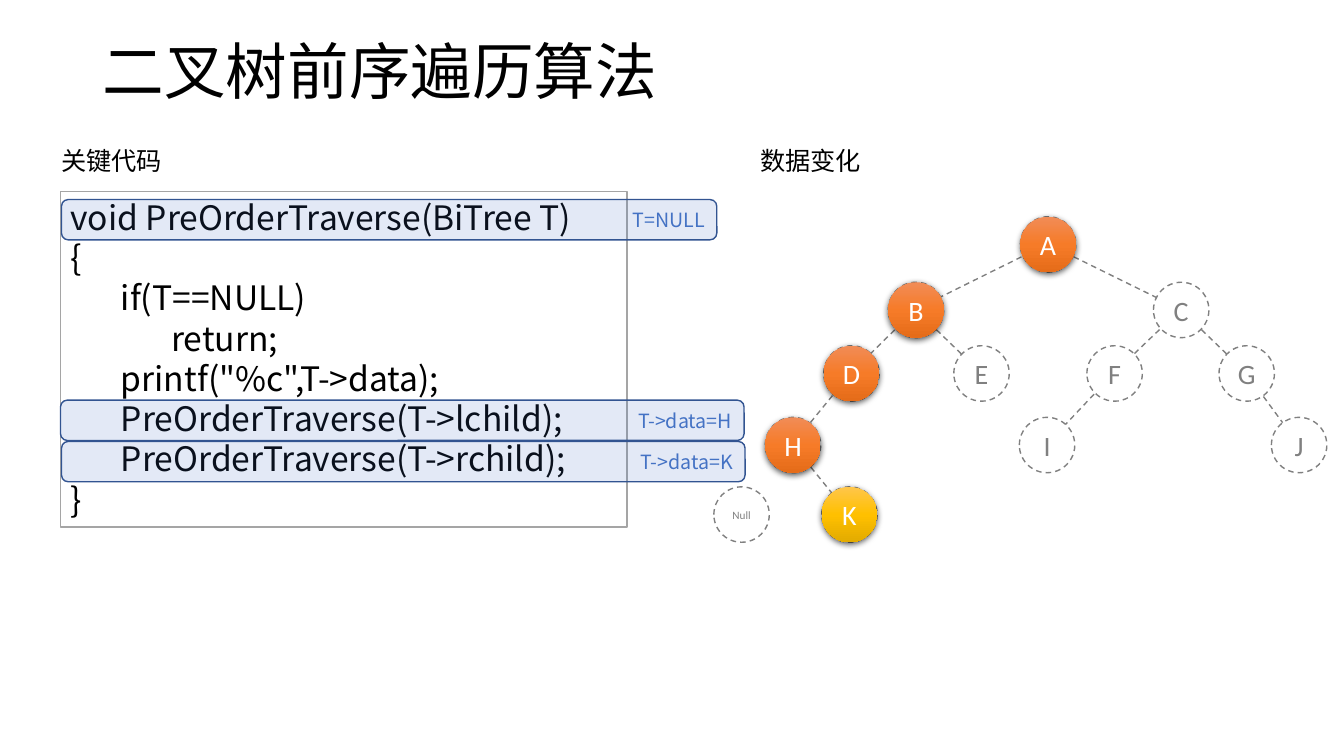
from dataclasses import dataclass

import pptx
import pptx.dml.color
import pptx.enum.dml
import pptx.enum.shapes
import pptx.enum.text
import pptx.oxml
import pptx.oxml.ns
import pptx.util

PX = 9144  # one px is a hundredth of an inch
DIAMETER = 55
CJK, LATIN = "Noto Sans CJK SC", "Calibri"
COLORS = {
    "black": "000000",
    "white": "FFFFFF",
    "gray": "808080",
    "frame": "A5A5A5",
    "blue": "4472C4",
    "navy": "325491",
}
GRADIENTS = {
    "orange": ("F18C57", "F67B28", "E56C19"),
    "gold": ("FFC64B", "FFC000", "E3AB00"),
}
CODE = """void PreOrderTraverse(BiTree T)
{
\tif(T==NULL)
\t\treturn;
\tprintf("%c",T->data);
\tPreOrderTraverse(T->lchild);
\tPreOrderTraverse(T->rchild);
}"""

Shape = pptx.enum.shapes.MSO_SHAPE
Align = pptx.enum.text.PP_ALIGN
Anchor = pptx.enum.text.MSO_ANCHOR
AutoSize = pptx.enum.text.MSO_AUTO_SIZE


@dataclass
class Node:
    label: str
    cx: int
    cy: int
    parent: str = ""
    gradient: str = ""
    size: int = 20


@dataclass
class Highlight:
    text: str
    x: int
    y: int
    w: int


@dataclass
class Label:
    text: str
    x: int
    y: int
    w: int
    h: int
    size: int
    wrap: bool = False
    spacing: float = 1.0


NODES = [
    Node("A", 1039, 242, gradient="orange"),
    Node("B", 908, 307, "A", "orange"),
    Node("C", 1171, 307, "A"),
    Node("D", 844, 370, "B", "orange"),
    Node("E", 973, 370, "B"),
    Node("F", 1105, 370, "C"),
    Node("G", 1236, 370, "C"),
    Node("H", 786, 441, "D", "orange"),
    Node("I", 1038, 441, "F"),
    Node("J", 1288, 441, "G"),
    Node("Null", 735, 510, size=8),
    Node("K", 842, 510, "H", "gold"),
]
HIGHLIGHTS = [
    Highlight("T=NULL", 61, 198, 650),
    Highlight("T->data=H", 60, 397, 678),
    Highlight("T->data=K", 61, 438, 678),
]
LABELS = [
    Label("二叉树前序遍历算法", 92, 1, 1150, 145, 44, True, 0.9),
    Label("关键代码", 51, 139, 125, 40, 18),
    Label("数据变化", 744, 139, 121, 40, 18),
]


def emu(*px: int) -> list[int]:
    return [n * PX for n in px]


def rgb(name: str) -> pptx.dml.color.RGBColor:
    return pptx.dml.color.RGBColor.from_string(COLORS[name])


def add_xml(parent, xml: str) -> None:
    head, tail = xml.split(">", 1)
    ns = pptx.oxml.ns.nsdecls("a")
    if head.endswith("/"):
        xml = f"{head[:-1]} {ns}/>{tail}"
    else:
        xml = f"{head} {ns}>{tail}"
    parent.append(pptx.oxml.parse_xml(xml))


def write(sp, text: str, size: int, font: str, color: str, align=Align.LEFT,
          anchor=Anchor.MIDDLE, wrap: bool = True, spacing: float = 1.0) -> None:
    tf = sp.text_frame
    tf.word_wrap = wrap
    tf.vertical_anchor = anchor
    for i, line in enumerate(text.split("\n")):
        p = tf.add_paragraph() if i else tf.paragraphs[0]
        p.alignment = align
        p.line_spacing = spacing
        r = p.add_run()
        r.text = line
        r.font.size = pptx.util.Pt(size)
        r.font.color.rgb = rgb(color)
        r.font.name = font
        add_xml(r.font._element, f'<a:ea typeface="{font}"/>')


def outline(line, color: str, dashed: bool = False) -> None:
    line.color.rgb = rgb(color)
    line.width = pptx.util.Pt(1)
    if dashed:
        line.dash_style = pptx.enum.dml.MSO_LINE.DASH


def add_box(s, kind, x: int, y: int, w: int, h: int, fill: str):
    sp = s.shapes.add_shape(kind, *emu(x, y, w, h))
    sp.shadow.inherit = False
    sp.fill.solid()
    sp.fill.fore_color.rgb = rgb(fill)
    return sp


def add_label(s, label: Label) -> None:
    sp = s.shapes.add_textbox(*emu(label.x, label.y, label.w, label.h))
    write(sp, label.text, label.size, CJK, "black",
          wrap=label.wrap, spacing=label.spacing)


def add_code(s) -> None:
    sp = add_box(s, Shape.RECTANGLE, 60, 190, 562, 333, "white")
    outline(sp.line, "frame")
    write(sp, CODE, 24, CJK, "black", anchor=Anchor.TOP)
    sp.text_frame.auto_size = AutoSize.SHAPE_TO_FIT_TEXT


def add_highlight(s, mark: Highlight) -> None:
    sp = add_box(s, Shape.ROUNDED_RECTANGLE, mark.x, mark.y, mark.w, 40, "blue")
    color = sp._element.spPr.find(".//" + pptx.oxml.ns.qn("a:srgbClr"))
    add_xml(color, '<a:alpha val="15000"/>')
    outline(sp.line, "navy")
    write(sp, mark.text, 14, CJK, "blue", Align.RIGHT)


def add_edge(s, start: Node, end: Node) -> None:
    line = s.shapes.add_connector(pptx.enum.shapes.MSO_CONNECTOR.STRAIGHT,
                                  *emu(start.cx, start.cy, end.cx, end.cy))
    outline(line.line, "gray", True)
    add_xml(line._element.spPr, "<a:effectLst/>")


def add_circle(s, node: Node, color: str):
    sp = add_box(s, Shape.OVAL, node.cx - DIAMETER // 2, node.cy - DIAMETER // 2,
                 DIAMETER, DIAMETER, "white")
    write(sp, node.label, node.size, LATIN, color, Align.CENTER)
    return sp


def add_node(s, node: Node) -> None:
    outline(add_circle(s, node, "gray").line, "gray", True)
    if not node.gradient:
        return
    # Visited nodes get a shaded disc on top
    sp = add_circle(s, node, "white")
    sp.fill.gradient()
    sp.fill.gradient_angle = 270
    stops = sp._element.spPr.find(".//" + pptx.oxml.ns.qn("a:gsLst"))
    stops.clear()
    for i, color in enumerate(GRADIENTS[node.gradient]):
        add_xml(stops, f'<a:gs pos="{i * 50000}"><a:srgbClr val="{color}"/></a:gs>')
    sp.line.fill.background()
    effects = sp._element.spPr.find(pptx.oxml.ns.qn("a:effectLst"))
    add_xml(effects, '<a:outerShdw blurRad="57150" dist="19050" dir="5400000" '
                     'algn="ctr" rotWithShape="0"><a:srgbClr val="000000">'
                     '<a:alpha val="63000"/></a:srgbClr></a:outerShdw>')


def main() -> None:
    prs = pptx.Presentation()
    prs.slide_width, prs.slide_height = emu(1333, 750)
    s = prs.slides.add_slide(prs.slide_layouts[6])

    # Headings and code
    for label in LABELS:
        add_label(s, label)
    add_code(s)
    for mark in HIGHLIGHTS:
        add_highlight(s, mark)

    # Tree: edges behind nodes
    by_label = {node.label: node for node in NODES}
    for node in NODES:
        if node.parent:
            add_edge(s, by_label[node.parent], node)
    for node in NODES:
        add_node(s, node)

    prs.save("out.pptx")


if __name__ == "__main__":
    main()
